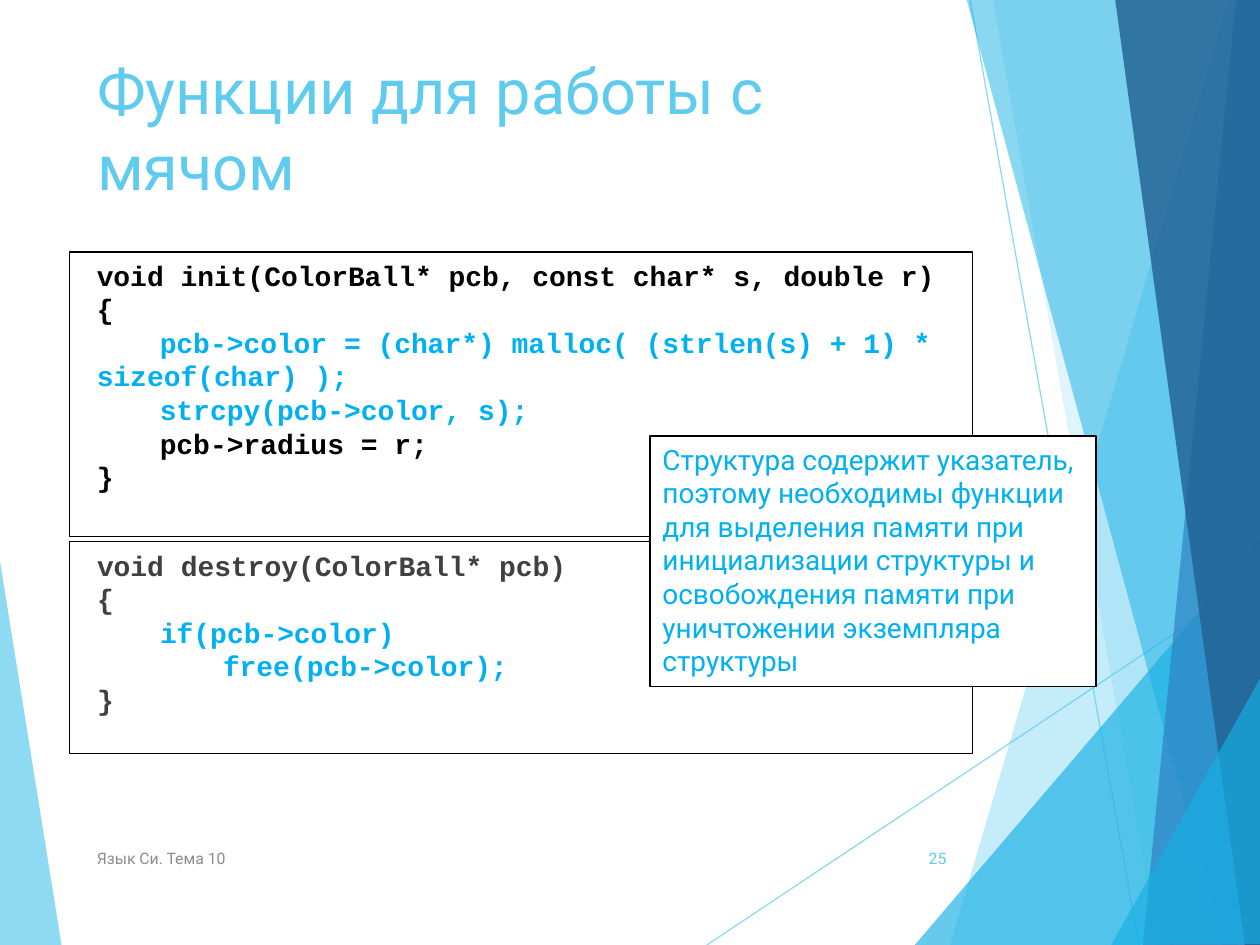
from lxml.etree import SubElement
from pptx import Presentation
from pptx.dml.color import RGBColor
from pptx.enum.shapes import MSO_CONNECTOR as Connector, MSO_SHAPE as Shape
from pptx.enum.text import MSO_ANCHOR as Anchor, MSO_AUTO_SIZE as AutoSize, PP_ALIGN as Align
from pptx.oxml.ns import qn
from pptx.util import Inches, Pt

COLORS = {
    "sky": "5FCBEF", "cyan": "17B0E4", "blue": "2E83C3", "navy": "226292",
    "accent": "00B0F0", "black": "000000", "dark": "404040",
    "gray": "8C8C8C", "white": "FFFFFF",
}
CODE = {"name": "Courier New", "size": Pt(16), "bold": True}
PROSE = {"name": "Roboto", "size": Pt(16), "bold": False}
SMALL = {**PROSE, "size": Pt(9)}
HEADING = {**PROSE, "size": Pt(36)}

# Translucent facets: colour, opacity in percent, corner points
LEFT_FACET = ("sky", 70, [(-0.01, 4.39), (0.49, 7.51), (-0.01, 7.5)])
RIGHT_FACETS = [
    ("sky", 36, [(9.75, 0), (7.54, 7.5), (10.02, 7.51), (10.01, 0.01)]),
    ("sky", 20, [(7.88, -0.01), (9.19, 7.5), (10.01, 7.5), (10.01, -0.01)]),
    ("cyan", 66, [(7.26, 7.5), (10, 4.29), (10.01, 7.5)]),
    ("cyan", 50, [(7.67, -0.01), (9.7, 7.5), (10.01, 7.49), (10.01, -0.01)]),
    ("blue", 70, [(9.81, -0.01), (9.07, 7.5), (10.01, 7.5), (10, -0.01)]),
    ("navy", 82, [(8.85, -0.01), (9.88, 7.5), (10.02, 7.5), (10, -0.01)]),
    ("cyan", 66, [(8.82, 7.5), (10.02, 5.35), (10.02, 7.49)]),
]
RAYS = [(5.61, 7.5, 10.01, 4.57), (7.7, 0, 9.04, 7.5)]

# Code listings: each line is a list of (text, colour)
DESTROY_CODE = [
    [("void destroy(ColorBall* pcb)", "dark")],
    [("{", "dark")],
    [("\t", "dark"), ("if(pcb->color)", "accent")],
    [("\t\t", "dark"), ("free(pcb->color);", "accent")],
    [("}", "dark")],
]
INIT_CODE = [
    [("void init(ColorBall* pcb, const char* s, double r)", "black")],
    [("{", "black")],
    [("\t", "black"),
     ("pcb->color = (char*) malloc( (strlen(s) + 1) * sizeof(char) );", "accent")],
    [("\tstrcpy(pcb->color, s);", "accent")],
    [("\tpcb->radius = r;", "black")],
    [("}", "black")],
]
CALLOUT = ("Структура содержит указатель, поэтому необходимы функции для выделения "
           "памяти при инициализации структуры и освобождения памяти при уничтожении "
           "экземпляра структуры")


def rgb(name):
    return RGBColor.from_string(COLORS[name])


def set_opacity(color_format_parent, percent):
    color = next(color_format_parent.iter(qn("a:srgbClr")))
    SubElement(color, qn("a:alpha"), val=str(percent * 1000))


def place(shape, box):
    for side, length in zip(("left", "top", "width", "height"), box):
        setattr(shape, side, Inches(length))


def write(shape, lines, font, anchor=Anchor.TOP, align=Align.LEFT, indent=0):
    frame = shape.text_frame
    settings = {"word_wrap": True, "auto_size": AutoSize.NONE, "vertical_anchor": anchor,
                "margin_left": Inches(0.1), "margin_right": Inches(0.1),
                "margin_top": Inches(0.05), "margin_bottom": Inches(0.05)}
    for key, value in settings.items():
        setattr(frame, key, value)
    for index, line in enumerate(lines):
        paragraph = frame.add_paragraph() if index else frame.paragraphs[0]
        properties = paragraph._p.get_or_add_pPr()
        properties.set("marL", str(Inches(indent)))
        properties.set("indent", "0")
        SubElement(properties, qn("a:buNone"))
        paragraph.alignment = align
        paragraph.space_before = Pt(0)
        for text, color in line:
            run = paragraph.add_run()
            run.text = text
            for key, value in font.items():
                setattr(run.font, key, value)
            run.font.color.rgb = rgb(color)


def outline(shape):
    shape.line.color.rgb = rgb("black")
    shape.line.width = Pt(0.75)


def add_facet(group, color, opacity, points):
    corners = [(Inches(x), Inches(y)) for x, y in points]
    builder = group.shapes.build_freeform(*corners[0])
    builder.add_line_segments(corners[1:])
    facet = builder.convert_to_shape()
    facet.shadow.inherit = False
    facet.fill.solid()
    facet.fill.fore_color.rgb = rgb(color)
    set_opacity(facet._element.spPr, opacity)
    facet.line.fill.background()


def add_ray(group, ends):
    ray = group.shapes.add_connector(Connector.STRAIGHT, *map(Inches, ends))
    ray.line.color.rgb = rgb("sky")
    ray.line.width = Pt(0.75)
    set_opacity(ray._element.spPr, 70)
    SubElement(ray._element.spPr, qn("a:effectLst"))


def add_background(slide):
    group = slide.shapes.add_group_shape()
    add_facet(group, *LEFT_FACET)
    for ends in RAYS:
        add_ray(group, ends)
    for facet in RIGHT_FACETS:
        add_facet(group, *facet)
    # Send the decoration behind the placeholders
    slide.shapes._spTree.insert(2, group._element)


def add_title(slide, box):
    title = slide.shapes.title
    place(title, box)
    write(title, [[("Функции для работы с мячом", "sky")]], HEADING)


def add_destroy_code(slide, box):
    body = slide.placeholders[1]
    place(body, box)
    outline(body)
    write(body, DESTROY_CODE, CODE, indent=0.12)


def add_rectangle(slide, box):
    rectangle = slide.shapes.add_shape(Shape.RECTANGLE, *map(Inches, box))
    rectangle.shadow.inherit = False
    rectangle.fill.background()
    outline(rectangle)
    return rectangle


def add_init_code(slide, box):
    write(add_rectangle(slide, box), INIT_CODE, CODE, indent=0.12)


def add_callout(slide, box):
    callout = add_rectangle(slide, box)
    callout.fill.solid()
    callout.fill.fore_color.rgb = rgb("white")
    write(callout, [[(CALLOUT, "accent")]], PROSE)


def add_footer(slide, box):
    left, top, width, height = box
    number_width = 0.56
    footer = slide.shapes.add_textbox(*map(Inches, (left, top, 5.06, height)))
    write(footer, [[("Язык Си. Тема 10", "gray")]], SMALL, Anchor.MIDDLE)
    number_box = (left + width - number_width, top, number_width, height)
    number = slide.shapes.add_textbox(*map(Inches, number_box))
    write(number, [[("25", "sky")]], SMALL, Anchor.MIDDLE, Align.RIGHT)


def main():
    presentation = Presentation()
    presentation.slide_width, presentation.slide_height = Inches(10), Inches(7.5)
    slide = presentation.slides.add_slide(presentation.slide_layouts[1])
    add_background(slide)
    add_title(slide, (0.67, 0.36, 6.94, 1.44))
    add_destroy_code(slide, (0.55, 4.3, 7.17, 1.68))
    add_footer(slide, (0.67, 6.61, 6.94, 0.4))
    add_init_code(slide, (0.55, 2, 7.17, 2.26))
    add_callout(slide, (5.16, 3.46, 3.54, 1.99))
    presentation.save("out.pptx")


if __name__ == "__main__":
    main()
